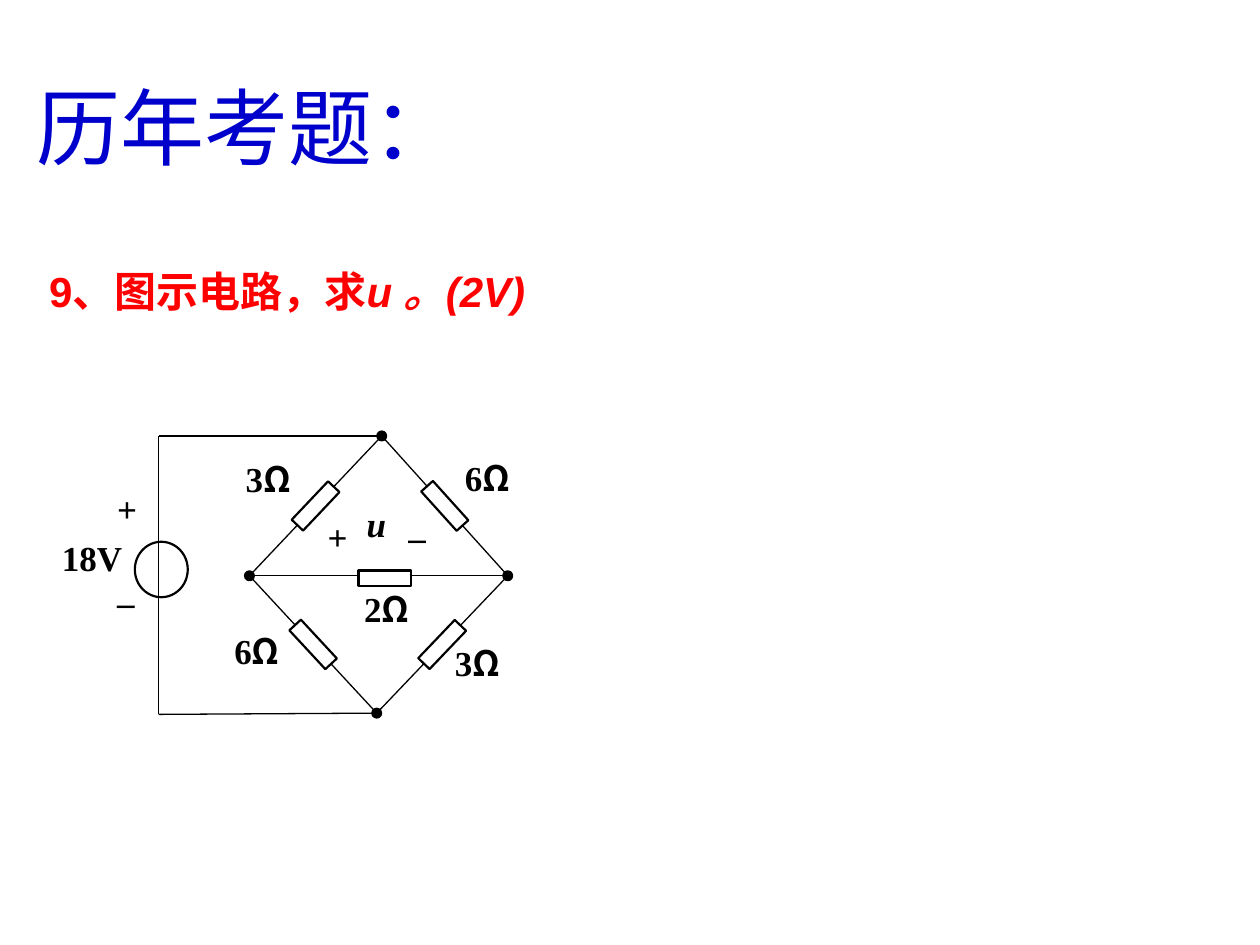
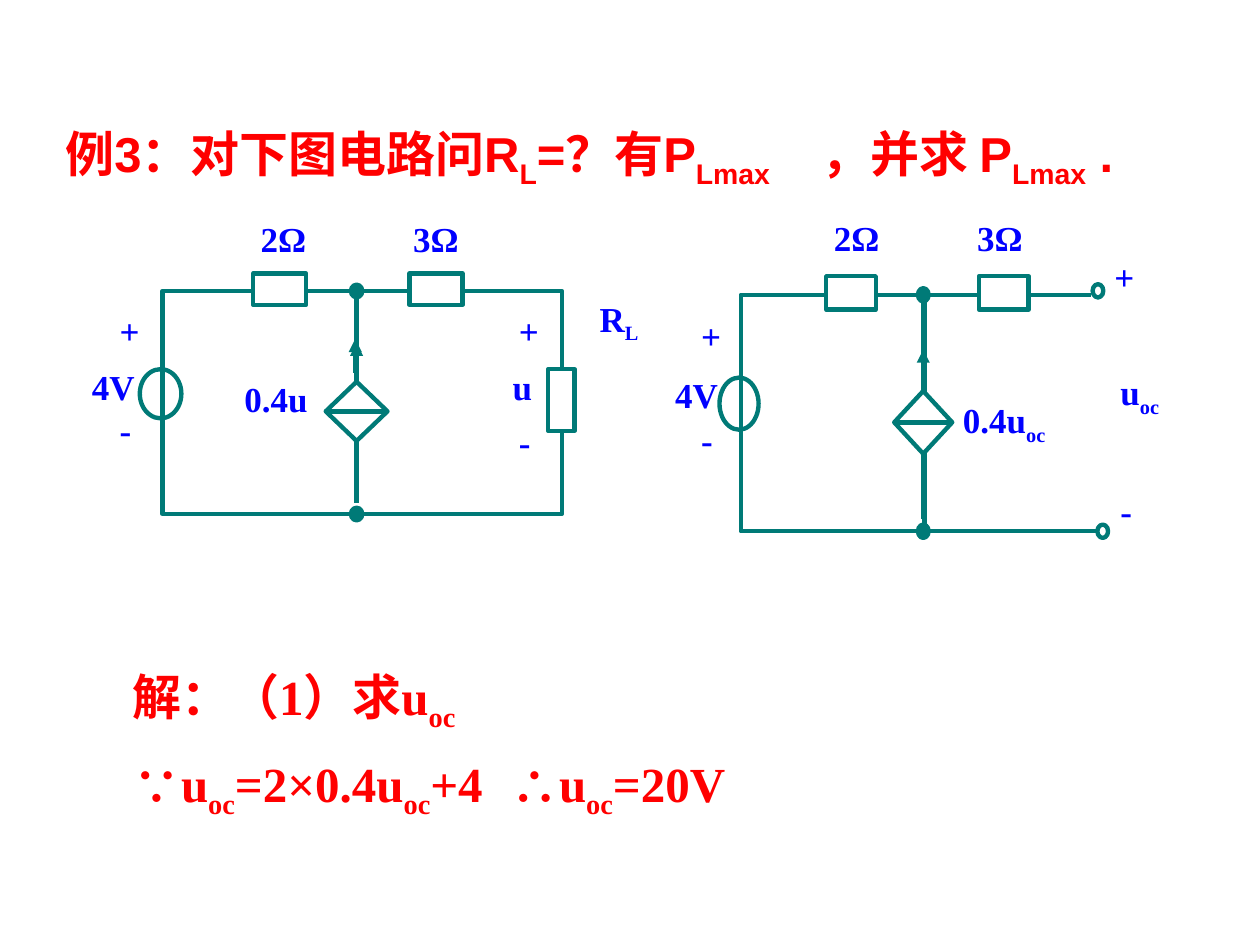
from math import atan2, degrees

from lxml.etree import SubElement
from pptx import Presentation
from pptx.dml.color import RGBColor
from pptx.enum.shapes import MSO_CONNECTOR, MSO_SHAPE
from pptx.enum.text import MSO_ANCHOR, MSO_AUTO_SIZE, PP_ALIGN
from pptx.oxml.ns import qn
from pptx.util import Emu, Inches, Pt

COLUMNS = 100  # the slide is 100 columns wide and 75 rows high
CJK = "Noto Sans CJK SC"
SERIF = "Times New Roman"
BLACK, WHITE, RED, BLUE, TEAL = "000000", "FFFFFF", "FF0000", "0000FF", "007A77"

HEADING = dict(name=SERIF, size=Pt(48), color="0000CC", bold=False)
QUESTION = dict(name="Arial", size=Pt(24), color=RED, bold=True)
EXAMPLE = dict(QUESTION, size=Pt(28))
SOLUTION = dict(EXAMPLE, name=SERIF)
BLACK_LABEL = dict(name=SERIF, size=Pt(20), color=BLACK, bold=True)
BLUE_LABEL = dict(BLACK_LABEL, color=BLUE)
SUBSCRIPT = dict(baseline="-25000")


def rgb(color):
    return RGBColor.from_string(color)


class Board:
    """Current slide, its line and label style, and the frame lengths are measured in."""

    def __init__(self, deck):
        self.deck = deck
        self.unit = deck.slide_width / COLUMNS

    def new_slide(self, ink, weight, label_style, margins):
        self.slide = self.deck.slides.add_slide(self.deck.slide_layouts[1])
        self.ink, self.weight = ink, weight
        self.label_style, self.margins = label_style, margins
        self.frame()

    def frame(self, origin=(0, 0), scale=(1, 1)):
        """Measure what follows from origin, in scaled columns and rows."""
        self.origin, self.scale = origin, scale

    def point(self, x, y):
        return [Emu(round((start + value * factor) * self.unit))
                for start, value, factor in zip(self.origin, (x, y), self.scale)]

    def box(self, x, y, width, height):
        left, top = self.point(x, y)
        right, bottom = self.point(x + width, y + height)
        return left, top, right - left, bottom - top

    def set_text(self, holder, paragraphs, style, accent=SUBSCRIPT, margins=(0.1, 0.05),
                 anchor=MSO_ANCHOR.TOP, spacing=1.0, tab=None):
        """Fill a text frame; every second piece between bars takes the accent."""
        text = holder.text_frame
        side, edge = map(Inches, margins)
        settings = dict(word_wrap=True, auto_size=MSO_AUTO_SIZE.NONE,
                        vertical_anchor=anchor, margin_left=side,
                        margin_right=side, margin_top=edge, margin_bottom=edge)
        for key, value in settings.items():
            setattr(text, key, value)
        for index, line in enumerate(paragraphs):
            paragraph = text.add_paragraph() if index else text.paragraphs[0]
            layout = dict(alignment=PP_ALIGN.LEFT, space_before=Pt(0),
                          line_spacing=spacing)
            for key, value in layout.items():
                setattr(paragraph, key, value)
            properties = paragraph._p.get_or_add_pPr()
            for key in ("marL", "indent"):
                properties.set(key, "0")
            SubElement(properties, qn("a:buNone"))
            if tab:
                stops = SubElement(properties, qn("a:tabLst"))
                SubElement(stops, qn("a:tab"), pos=str(Inches(tab)), algn="l")
            for place, piece in enumerate(line.split("|")):
                self.add_run(paragraph, piece, {**style, **(accent if place % 2 else {})})

    def add_run(self, paragraph, piece, style):
        run = paragraph.add_run()
        run.text = piece
        properties = run._r.get_or_add_rPr()
        for key, value in style.items():
            if key == "color":
                run.font.color.rgb = rgb(value)
            elif key == "baseline":
                properties.set(key, value)
            else:
                setattr(run.font, key, value)
        SubElement(properties, qn("a:ea"), typeface=CJK)

    def placeholder(self, index, area, paragraphs, style, **options):
        holder = self.slide.placeholders[index]
        for key, value in zip(("left", "top", "width", "height"), self.box(*area)):
            setattr(holder, key, value)
        self.set_text(holder, paragraphs, style, **options)

    def label(self, text, x, y, width=6.2, height=4.4, accent=SUBSCRIPT, **changes):
        holder = self.slide.shapes.add_textbox(*self.box(x, y, width, height))
        self.set_text(holder, [text], {**self.label_style, **changes}, accent, self.margins)

    def shape(self, kind, x, y, width, height, fill=WHITE, rotation=0):
        part = self.slide.shapes.add_shape(kind, *self.box(x, y, width, height))
        part.shadow.inherit = False
        part.rotation = rotation
        if fill:
            part.fill.solid()
            part.fill.fore_color.rgb = rgb(fill)
        else:
            part.fill.background()
        part.line.color.rgb = rgb(self.ink)
        part.line.width = Pt(self.weight)

    def resistor(self, *area, rotation=0):
        self.shape(MSO_SHAPE.RECTANGLE, *area, rotation=rotation)

    def ring(self, *area, fill=None):
        self.shape(MSO_SHAPE.OVAL, *area, fill=fill)

    def wire(self, start, end, weight=None, arrow=False):
        wire = self.slide.shapes.add_connector(
            MSO_CONNECTOR.STRAIGHT, *self.point(*start), *self.point(*end))
        wire.line.color.rgb = rgb(self.ink)
        wire.line.width = Pt(weight or self.weight)
        if arrow:
            outline = wire._element.spPr.find(qn("a:ln"))
            SubElement(outline, qn("a:tailEnd"), type="triangle")
        SubElement(wire._element.spPr, qn("a:effectLst"))

    def branch(self, start, end, shift=(0, 0)):
        """Wire two nodes with a resistor lying along the middle."""
        length, thickness = 4.2, 1.25
        self.wire(start, end, 0.75)
        x, y = ((a + b) / 2 + move for a, b, move in zip(start, end, shift))
        angle = degrees(atan2(end[1] - start[1], end[0] - start[0]))
        self.resistor(x - length / 2, y - thickness / 2, length, thickness,
                      rotation=angle)


def bridge_slide(board):
    board.new_slide(BLACK, 1.25, BLACK_LABEL, (0, 0))
    board.placeholder(0, (1.9, 5.5, 89.9, 9), ["历年考题："], HEADING)
    board.placeholder(1, (2.9, 20.6, 50, 5), ["9、图示电路，求|u 。(2V)"], QUESTION,
                      accent=dict(italic=True), anchor=MSO_ANCHOR.MIDDLE)

    top, left, right, bottom = (30.3, 34.6), (19.8, 45.7), (40.3, 45.7), (29.9, 56.6)
    source_top, source_bottom = (12.6, 34.6), (12.6, 56.7)
    for start, end in ((source_top, top), (source_top, source_bottom),
                       (source_bottom, bottom)):
        board.wire(start, end, 0.75)
    board.ring(10.7, 43, 4.2, 4.4)
    for start, end in ((left, top), (top, right), (left, bottom), (bottom, right)):
        board.branch(start, end)
    board.branch(left, right, shift=(0.5, 0.2))
    for x, y in (top, left, right, bottom):
        board.ring(x - 0.35, y - 0.35, 0.7, 0.7, fill=BLACK)

    for ohms, x, y in ((3, 19.5, 36.3), (6, 36.9, 36.2), (6, 18.6, 50),
                       (3, 36.1, 50.9), (2, 28.9, 46.6)):
        board.label(f"{ohms}|Ω", x, y, 5.4, accent=dict(name=CJK))
    for text, x, y in (("+", 9.3, 38.7), ("–", 9.3, 46.1), ("18V", 4.9, 42.6),
                       ("+", 26, 40.9), ("–", 32.4, 40.9)):
        board.label(text, x, y)
    board.label("u", 29.1, 39.9, italic=True)


def controlled_source_circuit(board, loop_width, second_resistor):
    """Draw the part both circuits share, measured from the loop's top left corner."""
    middle, depth = 15.4, 17.7
    board.resistor(0, 0, loop_width, depth)
    board.ring(-1.8, 6.2, 3.3, 3.9)
    for x in (7.2, second_resistor):
        board.resistor(x, -1.4, 4.2, 2.5)
    for y in (0, depth):
        board.ring(middle - 0.45, y - 0.5, 0.9, 1, fill=TEAL)
    board.wire((middle, 16.8), (middle, 4.1), arrow=True)
    board.wire((middle, 0.5), (middle, 4.4))
    board.shape(MSO_SHAPE.FLOWCHART_SORT, middle - 2.45, 7.2, 4.9, 4.7)
    for text, x, y in (("4V", -6.6, 5.4), ("+", -4.4, 1), ("-", -4.4, 8.8),
                       ("2Ω", 6.8, -6.3), ("3Ω", 18.9, -6.3)):
        board.label(text, x, y)


def power_slide(board):
    board.new_slide(TEAL, 2.5, BLUE_LABEL, (0.1, 0.05))
    board.placeholder(
        0, (4.2, 9.3, 92.4, 6.3),
        ["例3：对下图电路问R|L|=？有P|Lmax|\t，并求 P|Lmax| ."], EXAMPLE, tab=6.37)
    board.placeholder(
        1, (9.5, 43.6, 59, 29.2),
        ["解：（1）求u|oc", "∵u|oc|=2×0.4u|oc|+4\t∴u|oc|=20V"], SOLUTION,
        anchor=MSO_ANCHOR.MIDDLE, spacing=1.3, tab=3.48)

    board.frame((12.9, 23.1))
    controlled_source_circuit(board, 31.7, 19.6)
    board.wire((15.3, 6.5), (15.3, 3.8), arrow=True)
    board.resistor(30.6, 6.2, 2.1, 4.9)
    for text, x, y in (("0.4u", 5.5, 6.4), ("+", 27.3, 1), ("-", 27.3, 9.8),
                       ("u", 26.8, 5.4), ("R|L", 33.7, 0)):
        board.label(text, x, y, 8.8)

    board.frame((58.8, 23.4), (0.94, 1.06))
    controlled_source_circuit(board, 15.5, 20.1)
    for start, end, y in ((15.4, 20.1, 0), (24.3, 29.6, 0), (15.4, 30.1, 17.7)):
        board.wire((start, y), (end, y))
    for x, y in ((29.7, -0.8), (30.1, 17.2)):
        board.ring(x, y, 0.9, 1, fill=WHITE)
    for text, x, y in (("0.4u|oc", 17.7, 7.3), ("+", 30.5, -3.4),
                       ("-", 31, 14.1), ("u|oc", 31, 5.2)):
        board.label(text, x, y, 9.8)


def main():
    deck = Presentation()
    deck.slide_width, deck.slide_height = Inches(10), Inches(7.5)
    board = Board(deck)
    bridge_slide(board)
    power_slide(board)
    deck.save("out.pptx")


if __name__ == "__main__":
    main()
